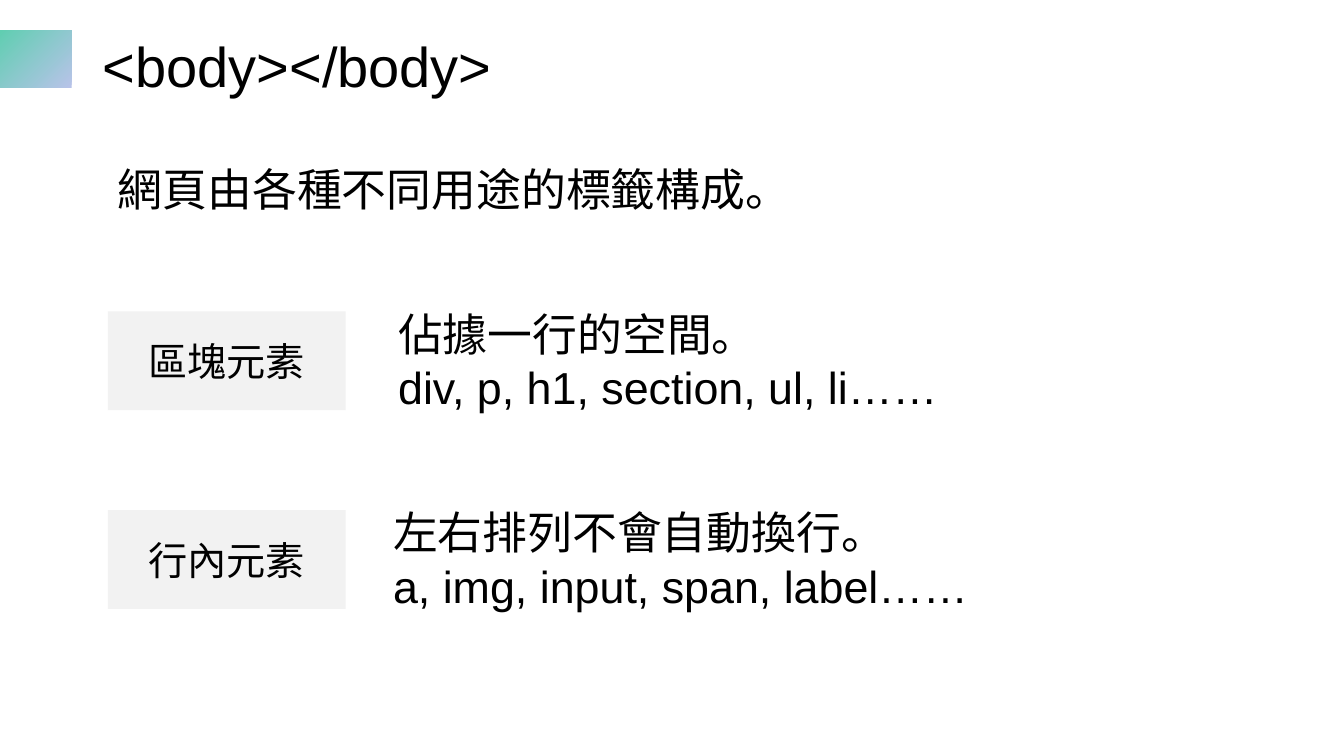
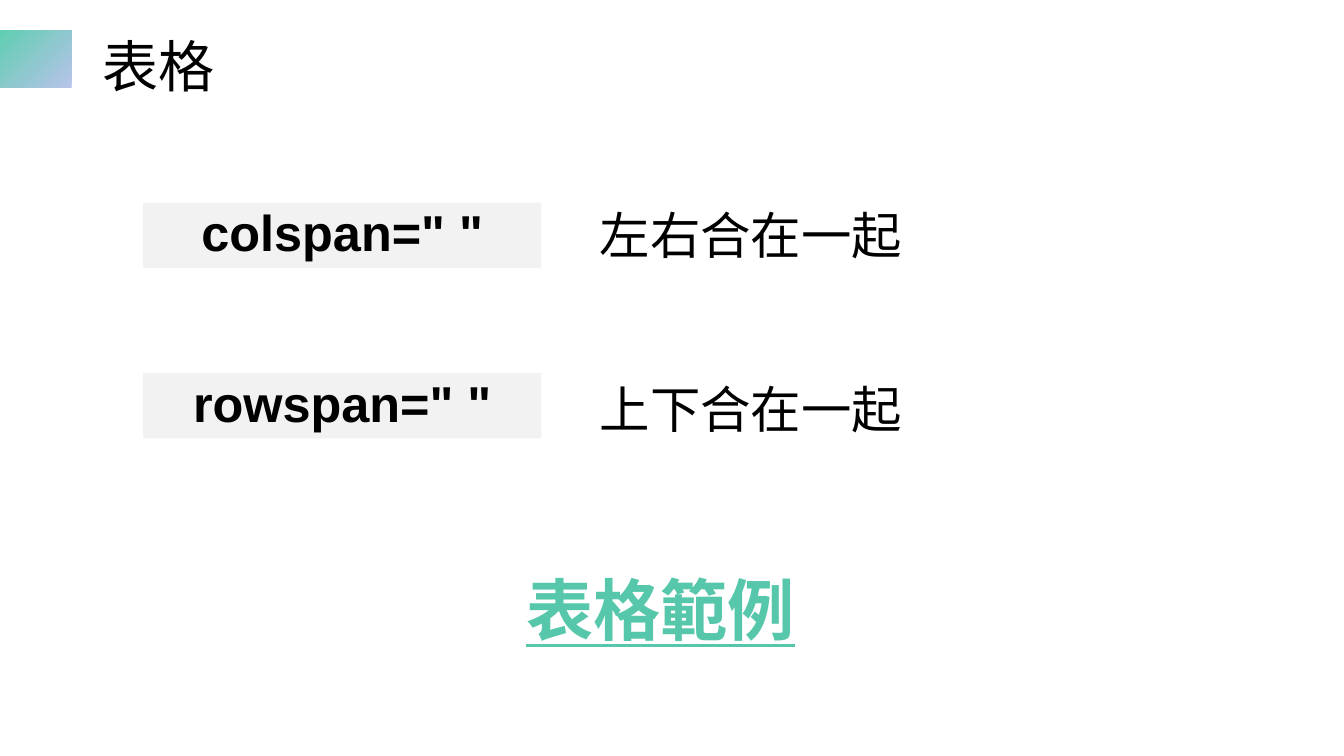
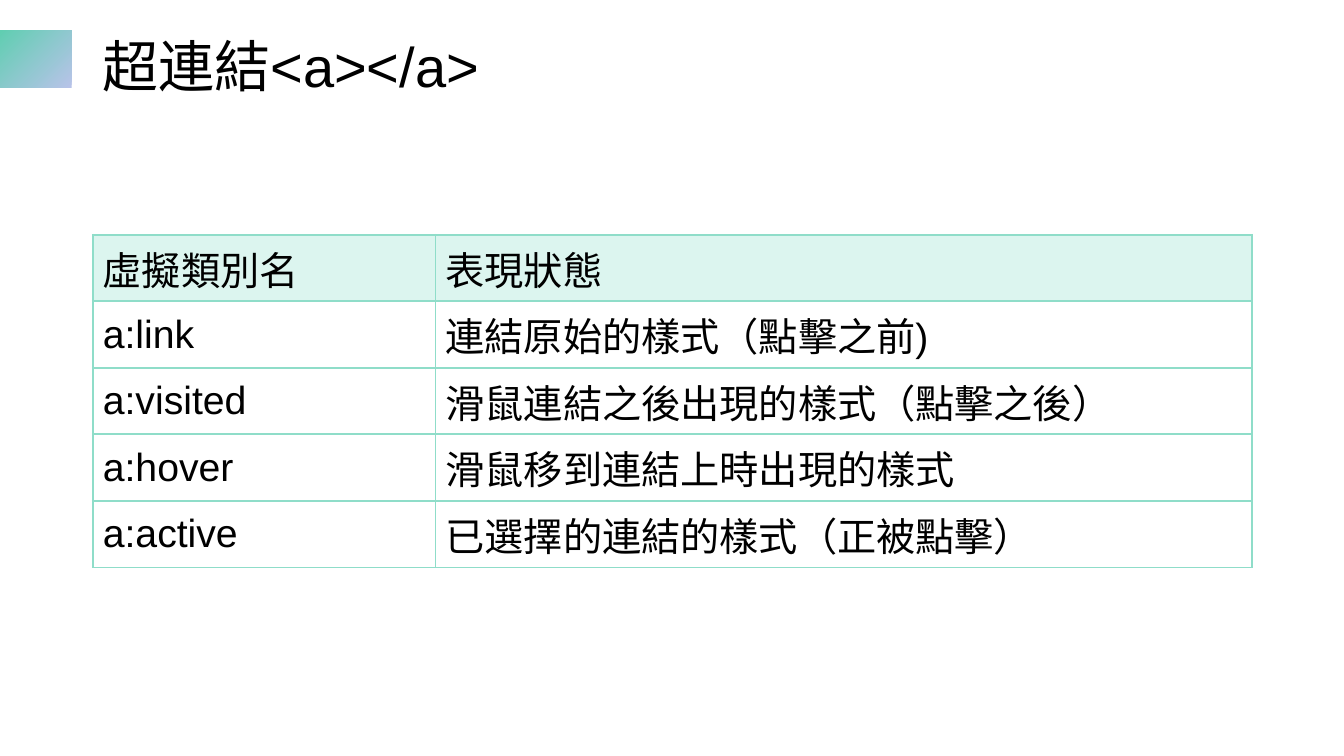
from pptx import Presentation
from pptx.dml.color import RGBColor
from pptx.enum.shapes import MSO_SHAPE
from pptx.enum.text import MSO_ANCHOR, PP_ALIGN
from pptx.oxml.ns import qn
from pptx.util import Inches, Pt
from lxml import etree

BLACK = RGBColor(0x00, 0x00, 0x00)
GREY = RGBColor(0xF2, 0xF2, 0xF2)
MINT = RGBColor(0x60, 0xCE, 0xB1)
LILAC = RGBColor(0xB8, 0xC3, 0xE9)
LINK_GREEN = RGBColor(0x56, 0xC7, 0xAA)
HEADER_MINT = RGBColor(0xDC, 0xF5, 0xEF)
BORDER_MINT = RGBColor(0x8F, 0xDD, 0xC9)
FONT = "Arial"
RECTANGLE = MSO_SHAPE.RECTANGLE
TOP, MIDDLE = MSO_ANCHOR.TOP, MSO_ANCHOR.MIDDLE
LEFT, CENTER = PP_ALIGN.LEFT, PP_ALIGN.CENTER


def write(frame, lines, size, color=BLACK, bold=False, underline=False,
          align=LEFT, anchor=TOP, spacing=None):
    """Fill a text frame with one paragraph per line, all in one style."""
    frame.word_wrap = True
    frame.vertical_anchor = anchor
    frame.text = "\n".join(lines)
    for paragraph in frame.paragraphs:
        paragraph.alignment = align
        paragraph.line_spacing = spacing
        font = paragraph.font
        font.name, font.size, font.color.rgb = FONT, Pt(size), color
        font.bold, font.underline = bold, underline


def add_text(slide, box, lines, size, **style):
    """Place text in a box given as left, top, width, height in inches."""
    text_box = slide.shapes.add_textbox(*map(Inches, box))
    write(text_box.text_frame, lines, size, **style)


def add_block(slide, box):
    """Place a rectangle without outline or shadow."""
    block = slide.shapes.add_shape(RECTANGLE, *map(Inches, box))
    block.shadow.inherit = False
    block.line.fill.background()
    return block


def add_label(slide, box, label, size, **style):
    """Place a grey block with a centred label."""
    block = add_block(slide, box)
    block.fill.solid()
    block.fill.fore_color.rgb = GREY
    write(block.text_frame, [label], size, align=CENTER, anchor=MIDDLE, **style)


def add_titled_slide(deck, title):
    """Add a slide with the gradient tab and the title."""
    slide = deck.slides.add_slide(deck.slide_layouts[6])
    tab = add_block(slide, (0, 0.3, 0.71, 0.57))
    tab.fill.gradient()
    tab.fill.gradient_angle = 135
    for stop, color in zip(tab.fill.gradient_stops, (LILAC, MINT)):
        stop.color.rgb = color
    add_text(slide, (0.92, 0.15, 11.5, 1.08), [title], 40,
             anchor=MIDDLE, spacing=0.9)
    return slide


def add_element_kind(slide, box, kind, text_offset, description):
    """Place the name of an element kind with its description beside it."""
    left, top, width, height = box
    add_label(slide, (left, top, 2.36, height), kind, 28)
    add_text(slide, (left + text_offset, top - 0.1, width - text_offset, 1.18),
             description, 32)


def add_attribute(slide, box, attribute, meaning, meaning_offset):
    """Place a cell attribute with its meaning beside it."""
    left, top, width, height = box
    add_label(slide, (left, top, 3.95, height), attribute, 36,
              bold=True, spacing=0.9)
    add_text(slide, (left + 4.43, top + meaning_offset, width - 4.43, 0.71),
             [meaning], 36)


def set_borders(cell, color, width):
    """Draw all four borders of a table cell."""
    properties = cell._tc.get_or_add_tcPr()
    for position, side in enumerate(("a:lnL", "a:lnR", "a:lnT", "a:lnB")):
        border = etree.Element(qn(side), w=str(Pt(width)))
        fill = etree.SubElement(border, qn("a:solidFill"))
        etree.SubElement(fill, qn("a:srgbClr"), val=str(color))
        properties.insert(position, border)


def add_state_table(slide, box, column_widths, rows):
    """Place a bordered table whose first row is tinted."""
    table = slide.shapes.add_table(
        len(rows), len(column_widths), *map(Inches, box)).table
    for column, width in zip(table.columns, column_widths):
        column.width = Inches(width)
    for row_index, row in enumerate(rows):
        for column_index, content in enumerate(row):
            cell = table.cell(row_index, column_index)
            write(cell.text_frame, [content], 28)
            cell.vertical_anchor = MIDDLE
            if row_index == 0:
                cell.fill.solid()
                cell.fill.fore_color.rgb = HEADER_MINT
            else:
                cell.fill.background()
            set_borders(cell, BORDER_MINT, 1.5)


def build_body_slide(deck):
    """Build the slide on block and inline elements."""
    slide = add_titled_slide(deck, "<body></body>")
    add_text(slide, (1.07, 1.56, 6.93, 0.64), ["網頁由各種不同用途的標籤構成。"], 32)
    kinds = (
        ("區塊元素", 2.78, ("佔據一行的空間。", "div, p, h1, section, ul, li……")),
        ("行內元素", 2.73, ("左右排列不會自動換行。", "a, img, input, span, label……")),
    )
    for index, (kind, text_offset, description) in enumerate(kinds):
        add_element_kind(slide, (1.07, 3.09 + 1.97 * index, 9.6, 0.98),
                         kind, text_offset, description)


def build_span_slide(deck):
    """Build the slide on merging table cells."""
    slide = add_titled_slide(deck, "表格")
    attributes = (('colspan=" "', "左右合在一起", -0.03),
                  ('rowspan=" "', "上下合在一起", 0))
    for index, (attribute, meaning, offset) in enumerate(attributes):
        add_attribute(slide, (1.42, 2.01 + 1.69 * index, 10.73, 0.65),
                      attribute, meaning, offset)
    add_text(slide, (5.12, 5.59, 3.09, 0.91), ["表格範例"], 48,
             color=LINK_GREEN, bold=True, underline=True)


def build_link_slide(deck):
    """Build the slide on link states."""
    slide = add_titled_slide(deck, "超連結<a></a>")
    states = (
        ("虛擬類別名", "表現狀態"),
        ("a:link", "連結原始的樣式（點擊之前)"),
        ("a:visited", "滑鼠連結之後出現的樣式（點擊之後）"),
        ("a:hover", "滑鼠移到連結上時出現的樣式"),
        ("a:active", "已選擇的連結的樣式（正被點擊）"),
    )
    add_state_table(slide, (0.92, 2.33, 11.5, 3.3), (3.4, 8.1), states)


deck = Presentation()
deck.slide_width, deck.slide_height = Inches(13.33), Inches(7.5)
build_body_slide(deck)
build_span_slide(deck)
build_link_slide(deck)
deck.save("out.pptx")
